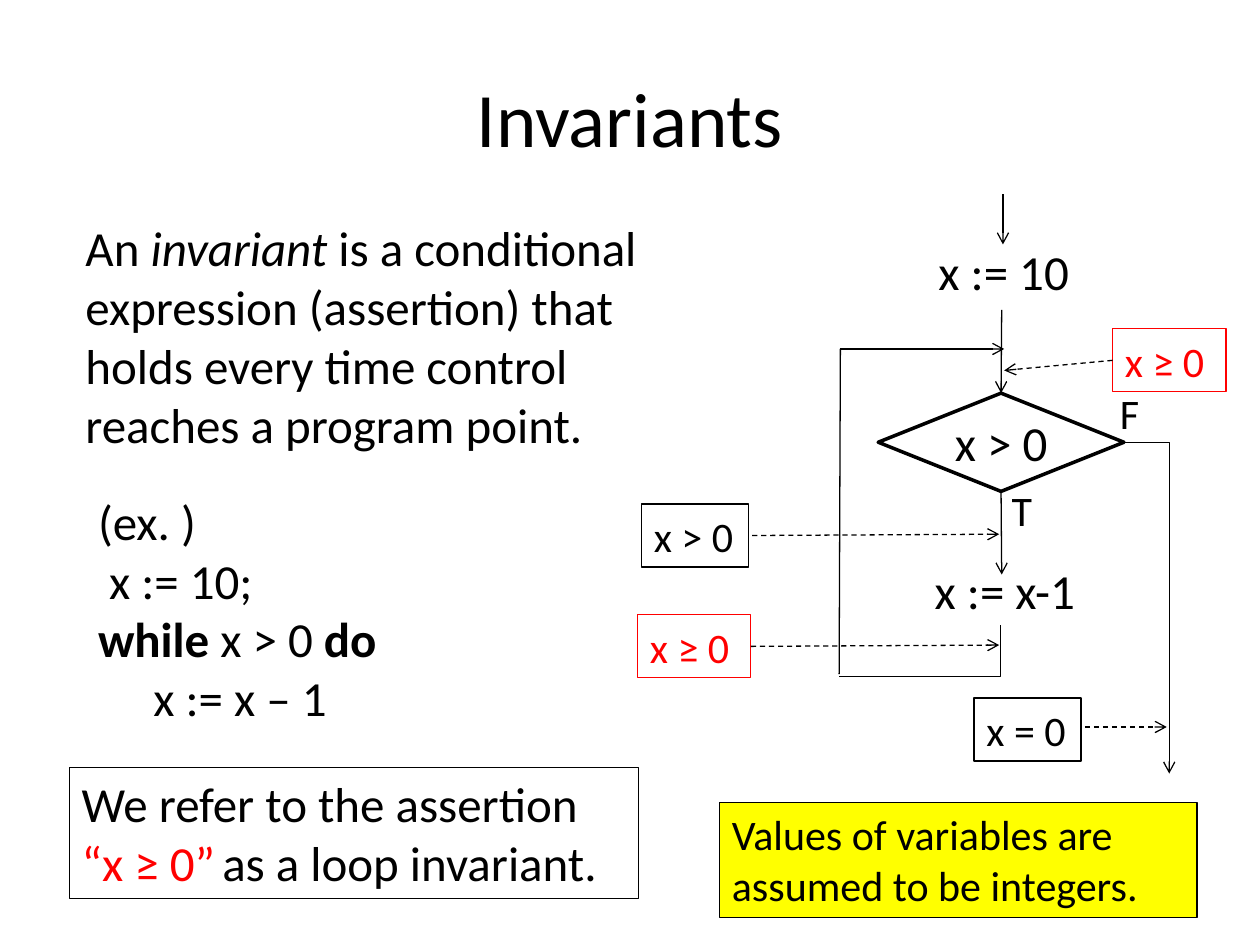
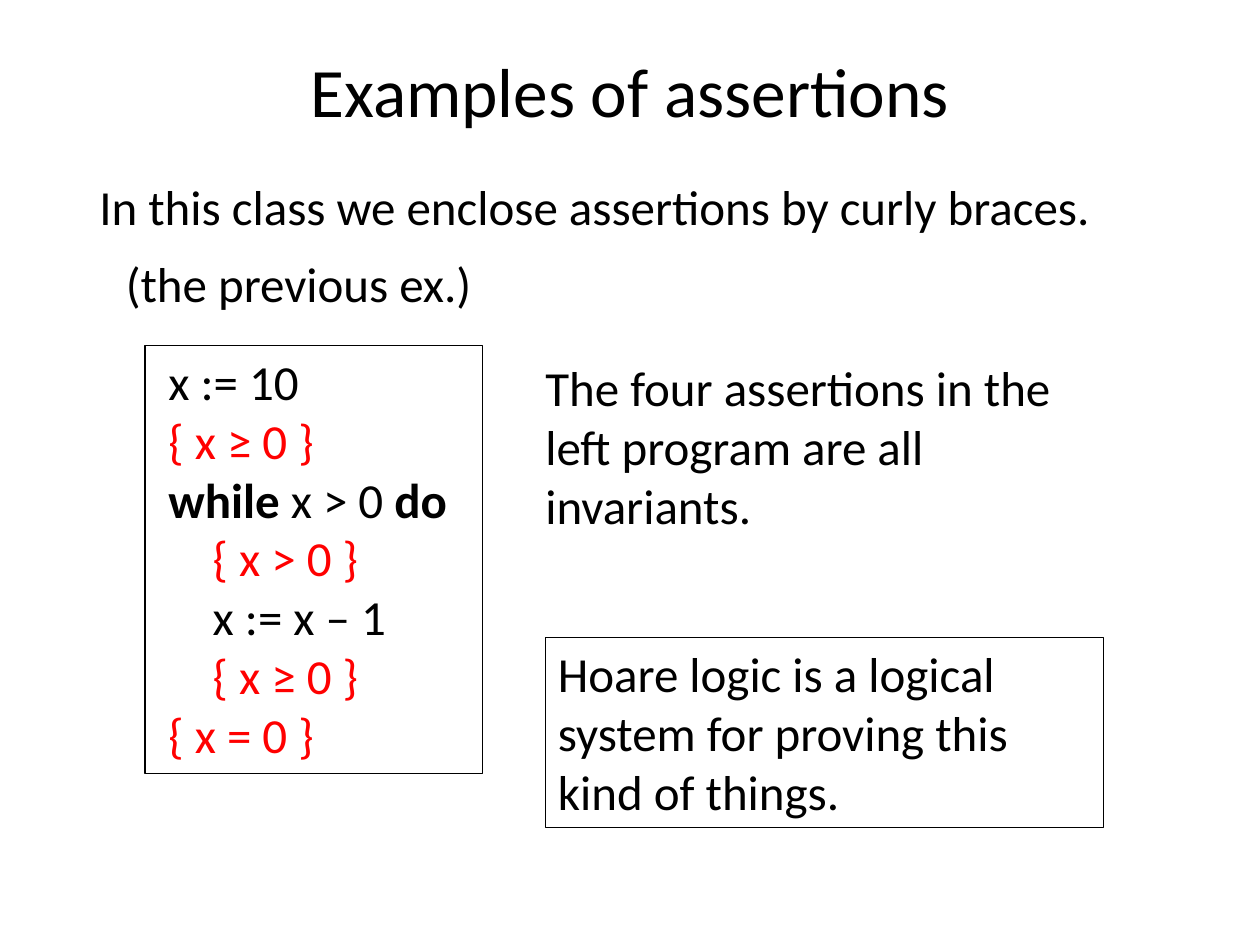
from dataclasses import dataclass

from pptx import Presentation
from pptx import util as u
from pptx.dml.color import RGBColor
from pptx.enum import dml, shapes, text
from pptx.oxml import parse_xml
from pptx.oxml.ns import nsdecls, qn


@dataclass(frozen=True)
class Theme:
    font: str = "Calibri"
    ink: str = "000000"
    red: str = "FF0000"
    gold: str = "FFFF00"
    white: str = "FFFFFF"
    head: float = 44
    sub: float = 39.6
    body: float = 28
    note: float = 24
    gap: float = 18
    thin: float = 0.75
    bold: float = 2


class Deck:
    cols, rows = 100, 75

    def __init__(self, theme):
        self.theme = theme
        self.file = Presentation()
        self.file.slide_width = u.Inches(10)
        self.file.slide_height = u.Inches(7.5)
        self.slide = None

    def x(self, col):
        return round(self.file.slide_width * col / self.cols)

    def y(self, row):
        return round(self.file.slide_height * row / self.rows)

    def area(self, at):
        left, top, wide, high = at
        return self.x(left), self.y(top), self.x(wide), self.y(high)

    def page(self, title, high, size):
        self.slide = self.file.slides.add_slide(self.file.slide_layouts[6])
        self.text((5, 3, 90, high), [title], size, mid=True)

    def fill_in(self, shape, lines, size, color, mid):
        frame = shape.text_frame
        frame.word_wrap = True
        frame.vertical_anchor = text.MSO_ANCHOR.MIDDLE if mid else text.MSO_ANCHOR.TOP
        for i, line in enumerate(lines):
            para = frame.add_paragraph() if i else frame.paragraphs[0]
            para.alignment = text.PP_ALIGN.CENTER if mid else text.PP_ALIGN.LEFT
            para.font.name = self.theme.font
            para.font.size = u.Pt(size)
            para.font.color.rgb = RGBColor.from_string(color)
            for part in [line] if isinstance(line, str) else line:
                words, mark = (part, "") if isinstance(part, str) else part
                run = para.add_run()
                run.text = words
                if mark == "bold":
                    run.font.bold = True
                elif mark == "slant":
                    run.font.italic = True
                elif mark == "red":
                    run.font.color.rgb = RGBColor.from_string(self.theme.red)
                elif mark == "gap":
                    run.font.size = u.Pt(self.theme.gap)

    def text(self, at, lines, size=None, mid=False):
        shape = self.slide.shapes.add_textbox(*self.area(at))
        self.fill_in(shape, lines, size or self.theme.body, self.theme.ink, mid)

    def box(self, at, lines, size=None, color=None, fill=None, edge=None,
            width=None, kind=shapes.MSO_SHAPE.RECTANGLE, mid=False):
        shape = self.slide.shapes.add_shape(kind, *self.area(at))
        shape.shadow.inherit = False
        if fill:
            shape.fill.solid()
            shape.fill.fore_color.rgb = RGBColor.from_string(fill)
        else:
            shape.fill.background()
        shape.line.color.rgb = RGBColor.from_string(edge or self.theme.ink)
        shape.line.width = u.Pt(width or self.theme.thin)
        self.fill_in(shape, lines, size or self.theme.body, color or self.theme.ink, mid)
        return shape

    def tag(self, left, top, words, color=None):
        wide = 9 if color else 8.5
        return self.box((left, top, wide, 5), [words], self.theme.note, color, edge=color)

    def line(self, start, end, arrow=True, dash=False, bent=False, tie=None, join=None):
        kind = shapes.MSO_CONNECTOR.ELBOW if bent else shapes.MSO_CONNECTOR.STRAIGHT
        wire = self.slide.shapes.add_connector(
            kind, self.x(start[0]), self.y(start[1]), self.x(end[0]), self.y(end[1]))
        wire.line.color.rgb = RGBColor.from_string(self.theme.ink)
        wire.line.width = u.Pt(self.theme.thin)
        if dash:
            wire.line.dash_style = dml.MSO_LINE.DASH
        props = wire._element.spPr
        if bent:
            props.find(qn("a:prstGeom")).set("prst", "bentConnector2")
        if arrow:
            props.find(qn("a:ln")).append(
                parse_xml(f'<a:tailEnd {nsdecls("a")} type="arrow"/>'))
        props.append(parse_xml(f'<a:effectLst {nsdecls("a")}/>'))
        if tie:
            wire.begin_connect(*tie)
        if join:
            wire.end_connect(*join)


def flow(deck):
    theme = deck.theme
    test = deck.box((69.7, 31.2, 19.5, 7.8), ["x > 0"], width=theme.bold,
                    kind=shapes.MSO_SHAPE.DIAMOND, mid=True)
    deck.text((73.5, 18.7, 14, 5.7), ["x := 10"])
    deck.text((73.2, 44, 14, 5.7), ["x := x-1"])
    deck.text((79.3, 38, 4, 5), ["T"], theme.note)
    deck.text((87.9, 30.3, 4, 5), ["F"], theme.note)

    deck.line((79.6, 15.4), (79.6, 19.4))
    deck.line((79.5, 24.6), (79.5, 31.2), join=(test, 0))
    deck.line((79.5, 39), (79.5, 45.6), tie=(test, 2))
    deck.line((89.2, 35.1), (92.8, 61.4), bent=True)
    deck.line((66.6, 53.7), (79.4, 49.6), arrow=False, bent=True)
    deck.line((66.6, 53.5), (66.7, 27.7), arrow=False)
    deck.line((66.7, 27.7), (79.7, 27.7))

    deck.tag(50.9, 40, "x > 0")
    deck.line((59.7, 42.5), (79.3, 42.4), dash=True)
    deck.tag(77.3, 55.4, "x = 0")
    deck.line((86.1, 57.7), (92.6, 57.7), dash=True)
    end = deck.tag(50.6, 48.8, "x ≥ 0", theme.red)
    deck.line((59.6, 51.3), (79.3, 51.2), dash=True, tie=(end, 3))
    top = deck.tag(88.3, 26.1, "x ≥ 0", theme.red)
    deck.line((88.3, 28.6), (79.7, 29.4), dash=True, tie=(top, 1))


def rules(deck):
    theme = deck.theme
    deck.page("Invariants", 12.5, theme.head)
    deck.text((5.8, 16.8, 50.8, 19.9), [[
        "An ", ("invariant", "slant"),
        " is a conditional expression (assertion) that holds every time "
        "control reaches a program point."]])
    deck.text((6.8, 38.5, 27, 19.9), [
        "(ex. )",
        " x := 10;",
        [("while", "bold"), " x > 0 ", ("do", "bold")],
        "     x := x – 1"])
    flow(deck)
    deck.box((57.1, 63.7, 37.9, 9.1), ["Values of variables are assumed to be integers."],
             theme.note, fill=theme.gold)
    deck.box((5.5, 60.9, 45.2, 10.4), [[
        "We refer to the assertion ", ("“x ≥ 0”", "red"), (" ", "gap"),
        "as a loop invariant."]])


def proofs(deck):
    deck.page("Examples of assertions", 8.2, deck.theme.sub)
    deck.text((6.9, 13.5, 86, 5.7), ["In this class we enclose assertions by curly braces."])
    deck.text((9, 19.6, 32, 5.7), ["(the previous ex.)"])
    deck.box((11.5, 27.4, 26.8, 34), [
        " x := 10",
        [(" { x ≥ 0 }", "red")],
        [(" while", "bold"), " x > 0 ", ("do", "bold")],
        [("     { x > 0 }", "red")],
        "     x := x – 1",
        [("     { x ≥ 0 }", "red")],
        [(" { x = 0 }", "red")]])
    deck.text((42.3, 27.9, 44.3, 15.1),
              ["The four assertions in the left program are all invariants."])
    deck.box((43.3, 50.6, 44.3, 15.1),
             ["Hoare logic is a logical system for proving this kind of things."],
             fill=deck.theme.white)


def main():
    deck = Deck(Theme())
    rules(deck)
    proofs(deck)
    deck.file.save("out.pptx")


if __name__ == "__main__":
    main()
